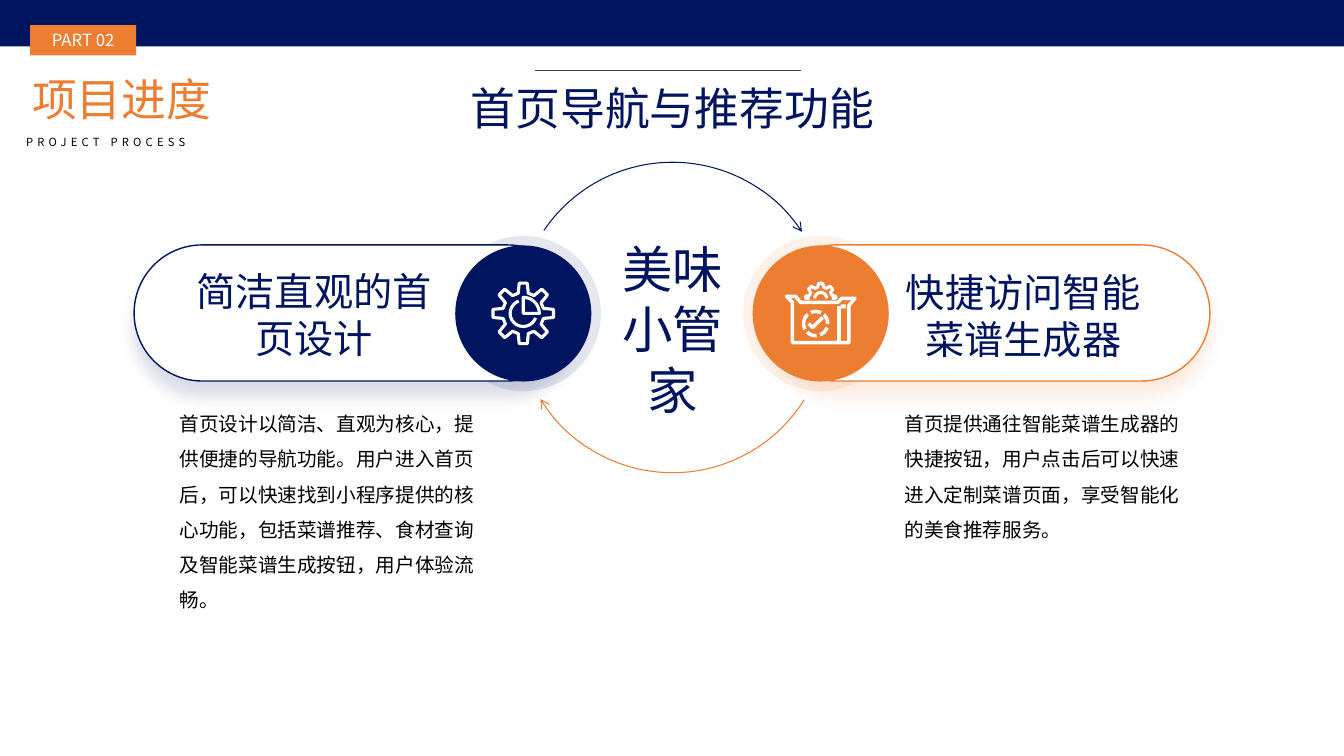
"""Build the home page navigation slide."""
from dataclasses import dataclass
from math import cos, radians, sin

from lxml.etree import SubElement
from pptx import Presentation
from pptx.dml.color import RGBColor
from pptx.enum.dml import MSO_LINE
from pptx.enum.shapes import MSO_CONNECTOR, MSO_SHAPE
from pptx.enum.text import MSO_AUTO_SIZE, PP_ALIGN
from pptx.oxml.ns import qn
from pptx.util import Inches, Pt


@dataclass(frozen=True)
class Theme:
    """Colours, font and type sizes of the slide."""
    navy: str = "00145F"
    orange: str = "ED7D31"
    white: str = "FFFFFF"
    black: str = "000000"
    grey: str = "404040"
    font: str = "Noto Sans CJK SC"
    hub: int = 36
    title: int = 32
    heading: int = 28
    body: int = 14
    tag: int = 12
    caption: int = 8


THEME = Theme()


def set_alpha(parent, percent):
    """Make the colour inside an XML element partly transparent."""
    SubElement(next(parent.iter(qn("a:srgbClr"))), qn("a:alpha"), val=str(percent * 1000))


def style_shape(shape, fill=None, line=None, weight=1, alpha=None):
    """Give a shape its fill and outline without a shadow."""
    shape.shadow.inherit = False
    for paint, color in ((shape.fill, fill), (shape.line.fill, line)):
        if color:
            paint.solid()
            paint.fore_color.rgb = RGBColor.from_string(color)
        else:
            paint.background()
    if line:
        shape.line.width = Pt(weight)
    if alpha:
        set_alpha(shape.element.spPr, alpha)
    return shape


def add_preset(page, kind, left, top, width, height, **style):
    """Add a styled preset shape."""
    box = map(Inches, (left, top, width, height))
    return style_shape(page.shapes.add_shape(kind, *box), **style)


def add_round(page, x, y, radius, kind=MSO_SHAPE.OVAL, **style):
    """Add a circle or arc around a centre point."""
    return add_preset(page, kind, x - radius, y - radius, 2 * radius, 2 * radius, **style)


def add_arc(page, x, y, radius, start, end, color=THEME.white, weight=2.2, arrow=False):
    """Add a clockwise arc between two angles in degrees."""
    arc = add_round(page, x, y, radius, MSO_SHAPE.ARC, line=color, weight=weight)
    arc.adjustments[0] = start * 0.6
    arc.adjustments[1] = end * 0.6
    if arrow:
        SubElement(arc.element.spPr.find(qn("a:ln")), qn("a:tailEnd"), type="arrow")


def add_outline(page, points, closed=True, weight=2.2):
    """Add a white stroked outline through points."""
    corners = [(Inches(x), Inches(y)) for x, y in points]
    builder = page.shapes.build_freeform(*corners[0])
    builder.add_line_segments(corners[1:], close=closed)
    style_shape(builder.convert_to_shape(), line=THEME.white, weight=weight)


def add_text(page, text, box, size=THEME.body, color=THEME.navy, align=PP_ALIGN.CENTER,
             inset=False, line_spacing=None, letter_spacing=None):
    """Add a wrapped text box holding one formatted paragraph."""
    frame = page.shapes.add_textbox(*map(Inches, box)).text_frame
    frame.word_wrap = True
    frame.auto_size = MSO_AUTO_SIZE.SHAPE_TO_FIT_TEXT
    if not inset:
        frame.margin_left = frame.margin_right = frame.margin_top = frame.margin_bottom = 0
    para = frame.paragraphs[0]
    para.alignment = align
    if line_spacing:
        para.line_spacing = line_spacing
    span = para.add_run()
    span.text = text
    span.font.size = Pt(size)
    span.font.color.rgb = RGBColor.from_string(color)
    span.font.name = THEME.font
    properties = para._p.find(qn("a:r")).find(qn("a:rPr"))
    SubElement(properties, qn("a:ea"), typeface=THEME.font)
    if letter_spacing:
        properties.set("spc", str(letter_spacing * 100))


def add_pill(page, left, disc_x, disc_y, color):
    """Add a shadowed pill with its halo and icon disc."""
    add_round(page, disc_x, disc_y, 0.77, fill=color, alpha=10)
    pill = add_preset(page, MSO_SHAPE.ROUNDED_RECTANGLE, left, 2.43, 4.38, 1.35,
                      fill=THEME.white, line=color)
    pill.adjustments[0] = 0.5
    shadow = SubElement(pill.element.spPr.find(qn("a:effectLst")), qn("a:outerShdw"),
                        blurRad=str(Pt(12)), dist=str(Pt(11)), dir="5400000", rotWithShape="0")
    SubElement(shadow, qn("a:srgbClr"), val=color)
    set_alpha(shadow, 15)
    add_round(page, disc_x, disc_y, 0.675, fill=color)


def gear_points(x, y, tip, base, tip_half, base_half, angles):
    """Return the outline of gear teeth pointing at the given angles."""
    tooth = [(base, -base_half), (tip, -tip_half), (tip, tip_half), (base, base_half)]
    return [(x + out * cos(turn) - side * sin(turn), y + out * sin(turn) + side * cos(turn))
            for turn in map(radians, angles) for out, side in tooth]


def add_gear_icon(page, x, y):
    """Draw a gear with a pie chart inside."""
    add_outline(page, gear_points(x, y, 0.3, 0.2, 0.04, 0.05, range(0, 360, 45)))
    add_arc(page, x, y, 0.13, 20, 250)
    rim = [(x + 0.16 * cos(turn), y + 0.16 * sin(turn)) for turn in map(radians, range(-90, 1, 10))]
    add_outline(page, [(x, y), *rim])


def add_box_icon(page, x, y):
    """Draw an open box with a check dial and a rising gear."""
    carton = [(-0.34, -0.17), (-0.25, -0.17), (-0.2, -0.11), (0.17, -0.11), (0.21, -0.15),
              (0.34, -0.15), (0.28, -0.08), (0.28, 0.29), (-0.28, 0.29), (-0.28, -0.11)]
    check = [(-0.12, 0.1), (-0.08, 0.14), (0.02, 0.04)]
    edge = [(0.18, -0.07), (0.18, 0.29)]
    for points, closed in ((carton, True), (check, False), (edge, False)):
        add_outline(page, [(x + across, y + down) for across, down in points], closed, 2.5)
    add_preset(page, MSO_SHAPE.RECTANGLE, x + 0.2, y - 0.09, 0.05, 0.04, fill=THEME.white)
    dial = add_round(page, x - 0.05, y + 0.1, 0.12, line=THEME.white, weight=2.5)
    dial.line.dash_style = MSO_LINE.SQUARE_DOT
    floor = y - 0.15
    teeth = gear_points(x, floor, 0.15, 0.11, 0.02, 0.03, range(180, 361, 45))
    add_outline(page, [(across, min(down, floor)) for across, down in teeth], closed=False)
    add_arc(page, x, floor, 0.06, 180, 360)


def add_header(page):
    """Add the top band, section label and slide title."""
    add_preset(page, MSO_SHAPE.RECTANGLE, 0, 0, 13.33, 0.46, fill=THEME.navy)
    add_preset(page, MSO_SHAPE.RECTANGLE, 0.3, 0.25, 1.05, 0.3, fill=THEME.orange)
    add_text(page, "项目进度", (0.22, 0.66, 2.38, 0.64), size=THEME.title, color=THEME.orange,
             align=PP_ALIGN.LEFT, inset=True)
    add_text(page, "PART 02", (0.34, 0.25, 0.97, 0.3), size=THEME.tag, color=THEME.white, inset=True)
    add_text(page, "PROJECT PROCESS", (0.16, 1.29, 2.43, 0.23), size=THEME.caption,
             color=THEME.black, align=PP_ALIGN.JUSTIFY, inset=True, letter_spacing=3)
    add_text(page, "首页导航与推荐功能", (4.06, 0.8, 5.22, 0.54), size=THEME.title)
    ends = map(Inches, (5.31, 0.7, 7.94, 0.7))
    rule = page.shapes.add_connector(MSO_CONNECTOR.STRAIGHT, *ends)
    rule.line.color.rgb = RGBColor.from_string(THEME.grey)
    rule.line.width = Pt(1)
    SubElement(rule.element.spPr, qn("a:effectLst"))


def main():
    """Build and save the deck."""
    deck = Presentation()
    deck.slide_width, deck.slide_height = Inches(13.33), Inches(7.5)
    page = deck.slides.add_slide(deck.slide_layouts[6])
    features = [
        (7.62, 8.14, THEME.orange, (32.1, 148.3), add_box_icon,
         "快捷访问智能菜谱生成器", (8.97, 2.66, 2.36, 0.94),
         "首页提供通往智能菜谱生成器的快捷按钮，用户点击后可以快速进入定制菜谱页面，享受智能化的美食推荐服务。",
         (8.97, 3.97, 2.82, 1.41)),
        (1.33, 5.19, THEME.navy, (214.1, 326.5), add_gear_icon,
         "简洁直观的首页设计", (1.78, 2.65, 2.67, 0.94),
         "首页设计以简洁、直观为核心，提供便捷的导航功能。用户进入首页后，可以快速找到小程序提供的核心功能，"
         "包括菜谱推荐、食材查询及智能菜谱生成按钮，用户体验流畅。",
         (1.78, 3.97, 3.09, 2.12)),
    ]
    for left, disc_x, color, sweep, add_icon, heading, heading_box, body, body_box in features:
        add_pill(page, left, disc_x, 3.11, color)
        add_arc(page, 6.67, 3.15, 1.54, *sweep, color=color, weight=0.75, arrow=True)
        add_icon(page, disc_x, 3.11)
        add_text(page, heading, heading_box, size=THEME.heading)
        add_text(page, body, body_box, color=THEME.black, align=PP_ALIGN.LEFT, line_spacing=1.5)
    add_text(page, "美味小管家", (6.14, 2.36, 1.06, 1.82), size=THEME.hub)
    add_header(page)
    deck.save("out.pptx")


if __name__ == "__main__":
    main()
